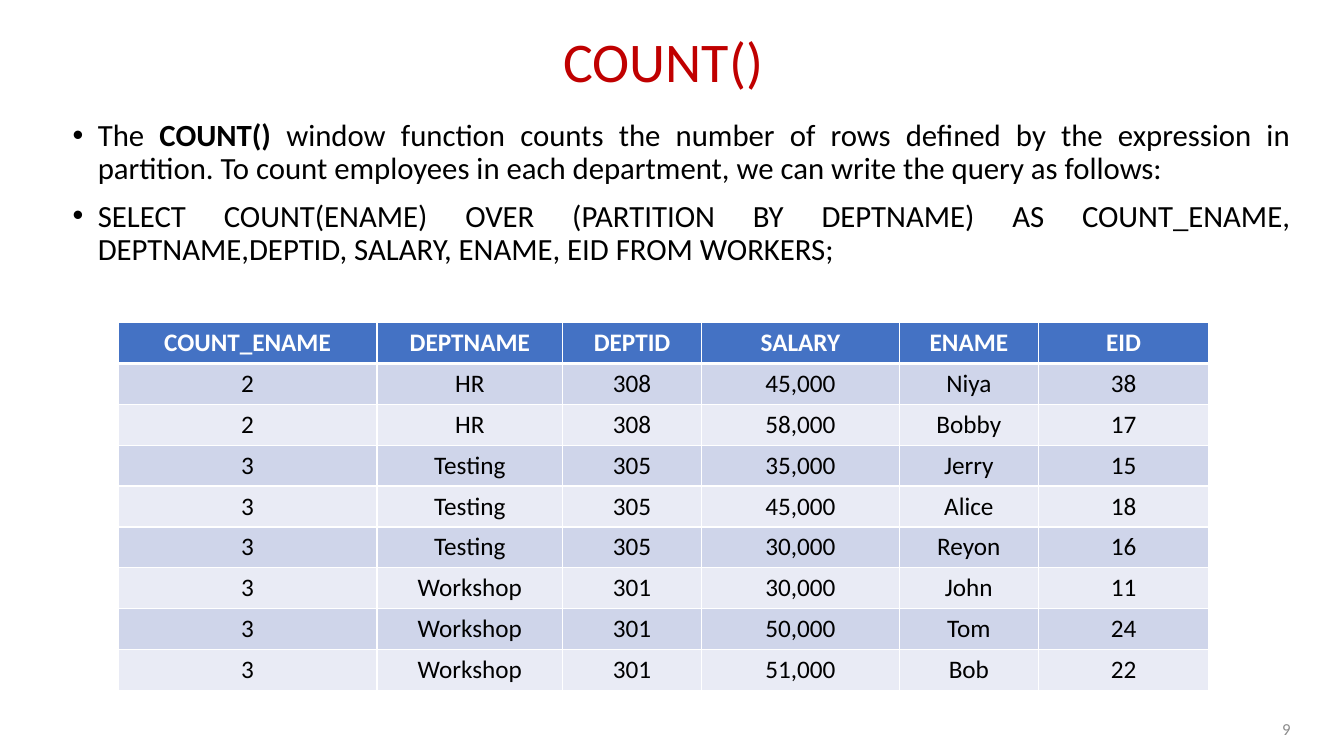
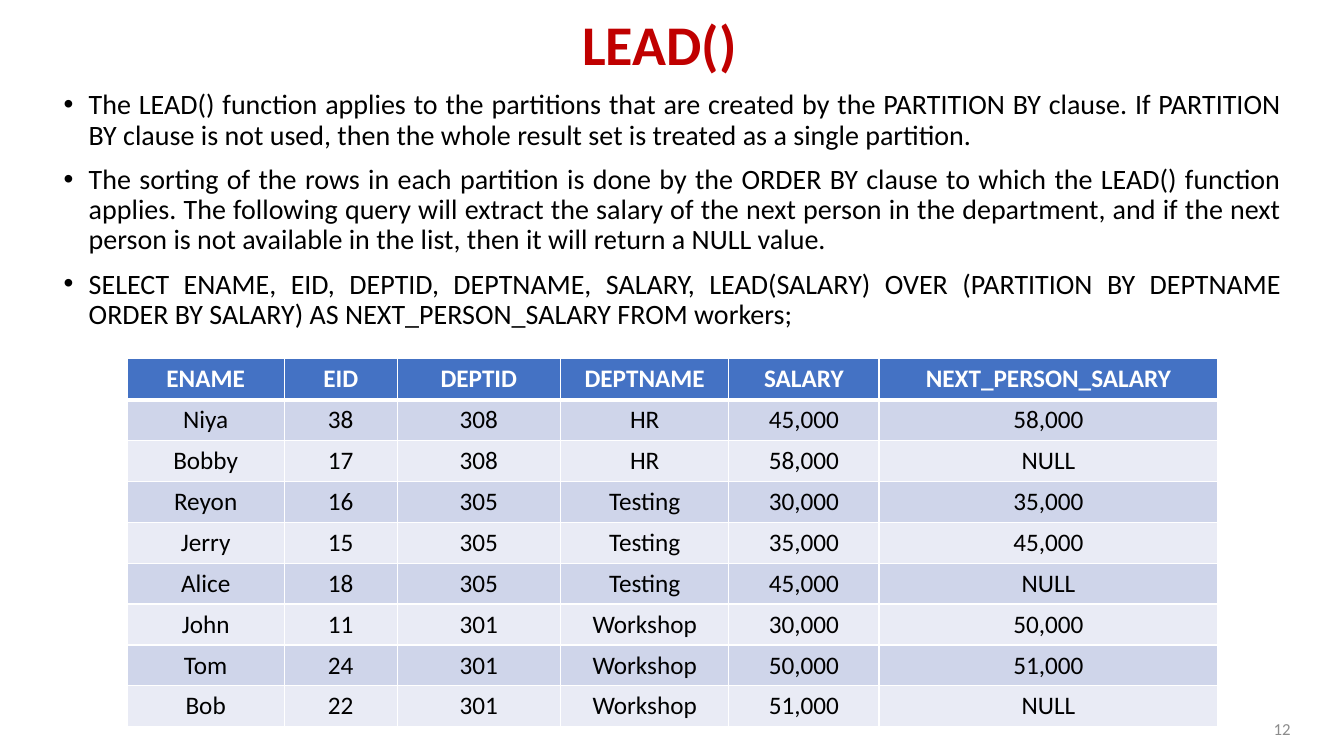
"""Two slides on the SQL window functions COUNT() and LEAD()."""
from lxml import etree
from pptx import Presentation
from pptx import util as u
from pptx.dml.color import RGBColor
from pptx.enum import text
from pptx.oxml import ns

PX = 9144
FONT = "Calibri"
ROW_H = 40
COLORS = {
    "title": "C00000",
    "text": "000000",
    "number": "8C8C8C",
    "header": "4472C4",
    "odd": "CFD5EA",
    "even": "E9EBF5",
    "white": "FFFFFF",
}

SLIDES = [
    {
        "title": "COUNT()",
        "title_at": (83, -9, 1150, 145),
        "title_bold": False,
        "number": "9",
        "body_at": (62, 114, 1228, 476),
        "body_size": 22,
        "bullets": [
            [
                ("The ", False),
                ("COUNT() ", True),
                ("window function counts the number of rows defined by the expression in "
                 "partition. To count employees in each department, we can write the query "
                 "as follows:", False),
            ],
            [("SELECT COUNT(ENAME) OVER (PARTITION BY DEPTNAME) AS COUNT_ENAME, "
              "DEPTNAME,DEPTID, SALARY, ENAME, EID FROM WORKERS;", False)],
        ],
        "table_at": (117, 320),
        "cols": [257, 184, 138, 196, 138, 169],
        "rows": [
            "COUNT_ENAME DEPTNAME DEPTID SALARY ENAME EID",
            "2 HR 308 45,000 Niya 38",
            "2 HR 308 58,000 Bobby 17",
            "3 Testing 305 35,000 Jerry 15",
            "3 Testing 305 45,000 Alice 18",
            "3 Testing 305 30,000 Reyon 16",
            "3 Workshop 301 30,000 John 11",
            "3 Workshop 301 50,000 Tom 24",
            "3 Workshop 301 51,000 Bob 22",
        ],
    },
    {
        "title": "LEAD()",
        "title_at": (79, -25, 1150, 145),
        "title_bold": True,
        "number": "12",
        "body_at": (53, 85, 1228, 579),
        "body_size": 20,
        "bullets": [
            [("The LEAD() function applies to the partitions that are created by the "
              "PARTITION BY clause. If PARTITION BY clause is not used, then the whole "
              "result set is treated as a single partition.", False)],
            [("The sorting of the rows in each partition is done by the ORDER BY clause to "
              "which the LEAD() function applies. The following query will extract the "
              "salary of the next person in the department, and if the next person is not "
              "available in the list, then it will return a NULL value.", False)],
            [("SELECT ENAME, EID, DEPTID, DEPTNAME, SALARY, LEAD(SALARY) OVER (PARTITION BY "
              "DEPTNAME ORDER BY SALARY) AS NEXT_PERSON_SALARY FROM workers;", False)],
        ],
        "table_at": (126, 356),
        "cols": [156, 112, 162, 167, 149, 336],
        "rows": [
            "ENAME EID DEPTID DEPTNAME SALARY NEXT_PERSON_SALARY",
            "Niya 38 308 HR 45,000 58,000",
            "Bobby 17 308 HR 58,000 NULL",
            "Reyon 16 305 Testing 30,000 35,000",
            "Jerry 15 305 Testing 35,000 45,000",
            "Alice 18 305 Testing 45,000 NULL",
            "John 11 301 Workshop 30,000 50,000",
            "Tom 24 301 Workshop 50,000 51,000",
            "Bob 22 301 Workshop 51,000 NULL",
        ],
    },
]


def add_run(p, words, size, color, bold=False):
    r = p.add_run()
    r.text = words
    r.font.name = FONT
    r.font.size = u.Pt(size)
    r.font.bold = bold
    r.font.color.rgb = RGBColor.from_string(COLORS[color])


def place(sp, at):
    sp.left, sp.top, sp.width, sp.height = [v * PX for v in at]
    tf = sp.text_frame
    tf.word_wrap = True
    tf.auto_size = text.MSO_AUTO_SIZE.NONE
    return tf


prs = Presentation()
prs.slide_width, prs.slide_height = 1333 * PX, 750 * PX

for data in SLIDES:
    s = prs.slides.add_slide(prs.slide_layouts[1])

    tf = place(s.shapes.title, data["title_at"])
    tf.vertical_anchor = text.MSO_ANCHOR.MIDDLE
    p = tf.paragraphs[0]
    p.alignment = text.PP_ALIGN.CENTER
    p.line_spacing = 0.9
    add_run(p, data["title"], 40, "title", data["title_bold"])

    tf = place(s.placeholders[1], data["body_at"])
    for i, runs in enumerate(data["bullets"]):
        p = tf.add_paragraph() if i else tf.paragraphs[0]
        pPr = p._p.get_or_add_pPr()
        pPr.set("marL", str(25 * PX))
        pPr.set("indent", str(-25 * PX))
        etree.SubElement(pPr, ns.qn("a:buFont"), typeface="Arial")
        etree.SubElement(pPr, ns.qn("a:buChar"), char="•")
        p.alignment = text.PP_ALIGN.JUSTIFY
        p.line_spacing = 0.9
        p.space_before = u.Pt(10 if i else 0)
        for words, bold in runs:
            add_run(p, words, data["body_size"], "text", bold)

    tf = place(s.shapes.add_textbox(0, 0, 0, 0), (990, 703, 300, 40))
    tf.vertical_anchor = text.MSO_ANCHOR.MIDDLE
    p = tf.paragraphs[0]
    p.alignment = text.PP_ALIGN.RIGHT
    add_run(p, data["number"], 12, "number")

    rows, cols = data["rows"], data["cols"]
    left, top = data["table_at"]
    table = s.shapes.add_table(len(rows), len(cols), left * PX, top * PX,
                               sum(cols) * PX, len(rows) * ROW_H * PX).table
    for column, width in zip(table.columns, cols):
        column.width = width * PX
    for i, row in enumerate(rows):
        table.rows[i].height = ROW_H * PX
        fill = "header" if i == 0 else "odd" if i % 2 else "even"
        widths = {"L": 1, "R": 1, "T": 3 if i == 1 else 1, "B": 3 if i == 0 else 1}
        for j, words in enumerate(row.split()):
            cell = table.cell(i, j)
            tcPr = cell._tc.get_or_add_tcPr()
            for side, width in widths.items():
                ln = etree.SubElement(tcPr, ns.qn("a:ln" + side), w=str(u.Pt(width)))
                solid = etree.SubElement(ln, ns.qn("a:solidFill"))
                etree.SubElement(solid, ns.qn("a:srgbClr"), val=COLORS["white"])
            cell.fill.solid()
            cell.fill.fore_color.rgb = RGBColor.from_string(COLORS[fill])
            p = cell.text_frame.paragraphs[0]
            p.alignment = text.PP_ALIGN.CENTER
            add_run(p, words, 18, "text" if i else "white", i == 0)

prs.save("out.pptx")
